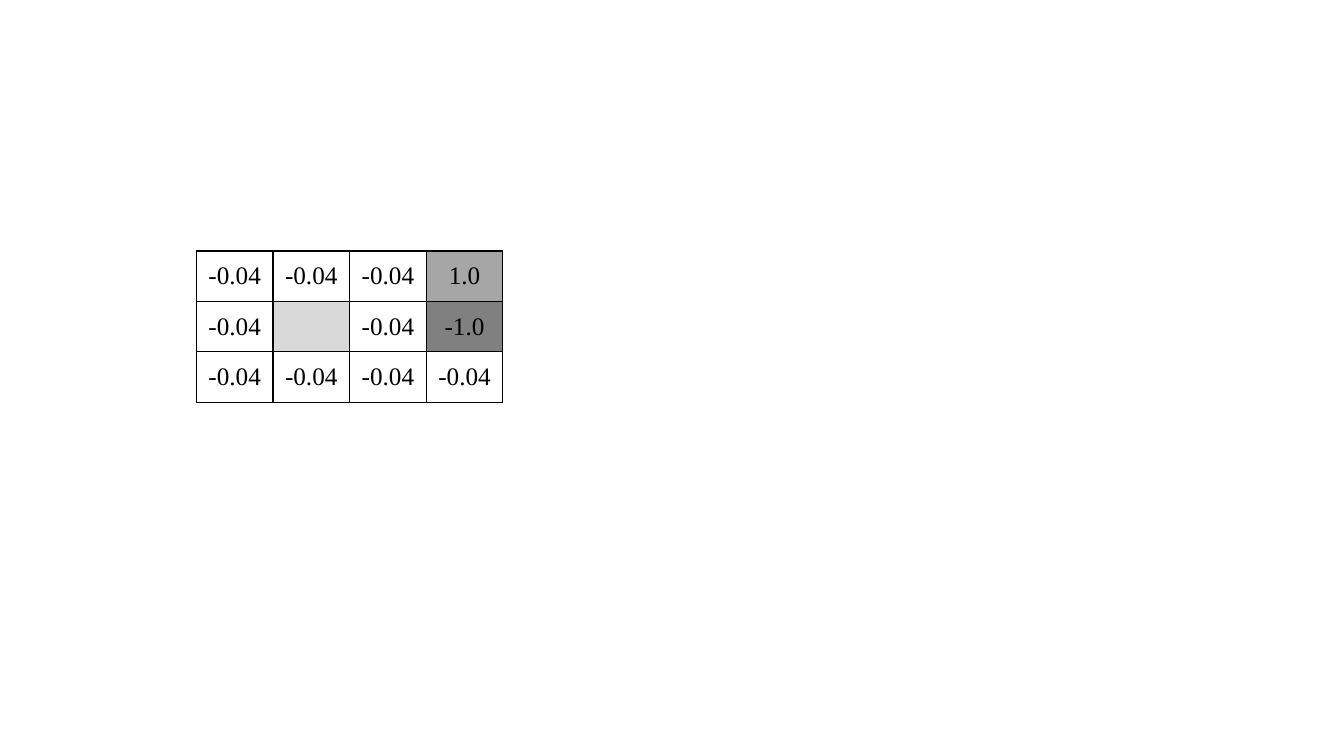
from lxml.etree import SubElement
from pptx import Presentation
from pptx.dml.color import RGBColor
from pptx.enum.text import MSO_ANCHOR, PP_ALIGN
from pptx.oxml.ns import qn
from pptx.util import Pt

PX = 9525  # EMU per px, 96 px to the inch
SLIDE_WIDTH, SLIDE_HEIGHT = 1280, 720
BLANK_LAYOUT = 6
FONT = "Times New Roman"

BLACK = RGBColor(0x00, 0x00, 0x00)
WALL = RGBColor(0xD9, 0xD9, 0xD9)
GOAL = RGBColor(0xA6, 0xA6, 0xA6)
PIT = RGBColor(0x80, 0x80, 0x80)

STEP = "-0.04"
REWARDS = [
    [STEP, STEP, STEP, "1.0"],
    [STEP, "", STEP, "-1.0"],
    [STEP, STEP, STEP, STEP],
]
STATE_FILLS = {"1.0": GOAL, "-1.0": PIT, "": WALL}


def write(frame, text, size=18, color=BLACK, align=PP_ALIGN.CENTER):
    paragraph = frame.paragraphs[0]
    paragraph.alignment = align
    paragraph.font.size = Pt(size)
    if text:
        run = paragraph.add_run()
        run.text = text
        run.font.name = FONT
        run.font.size = Pt(size)
        run.font.color.rgb = color


def outline(cell, color=BLACK, width=1):
    """Draw all four borders; call before the fill is set."""
    properties = cell._tc.get_or_add_tcPr()
    for side in ("a:lnL", "a:lnR", "a:lnT", "a:lnB"):
        border = SubElement(properties, qn(side), w=str(Pt(width)))
        solid = SubElement(border, qn("a:solidFill"))
        SubElement(solid, qn("a:srgbClr"), val=str(color))


def add_reward_grid(slide, left, top, width, height):
    rows, columns = len(REWARDS), len(REWARDS[0])
    box = [length * PX for length in (left, top, width, height)]
    grid = slide.shapes.add_table(rows, columns, *box).table
    grid.first_row = False
    grid.horz_banding = False
    for row, rewards in enumerate(REWARDS):
        for column, reward in enumerate(rewards):
            state = grid.cell(row, column)
            state.vertical_anchor = MSO_ANCHOR.MIDDLE
            write(state.text_frame, reward)
            outline(state)
            if reward in STATE_FILLS:
                state.fill.solid()
                state.fill.fore_color.rgb = STATE_FILLS[reward]
            else:
                state.fill.background()


def main():
    deck = Presentation()
    deck.slide_width = SLIDE_WIDTH * PX
    deck.slide_height = SLIDE_HEIGHT * PX
    slide = deck.slides.add_slide(deck.slide_layouts[BLANK_LAYOUT])
    add_reward_grid(slide, 187, 239, 292, 144)
    deck.save("out.pptx")


if __name__ == "__main__":
    main()
